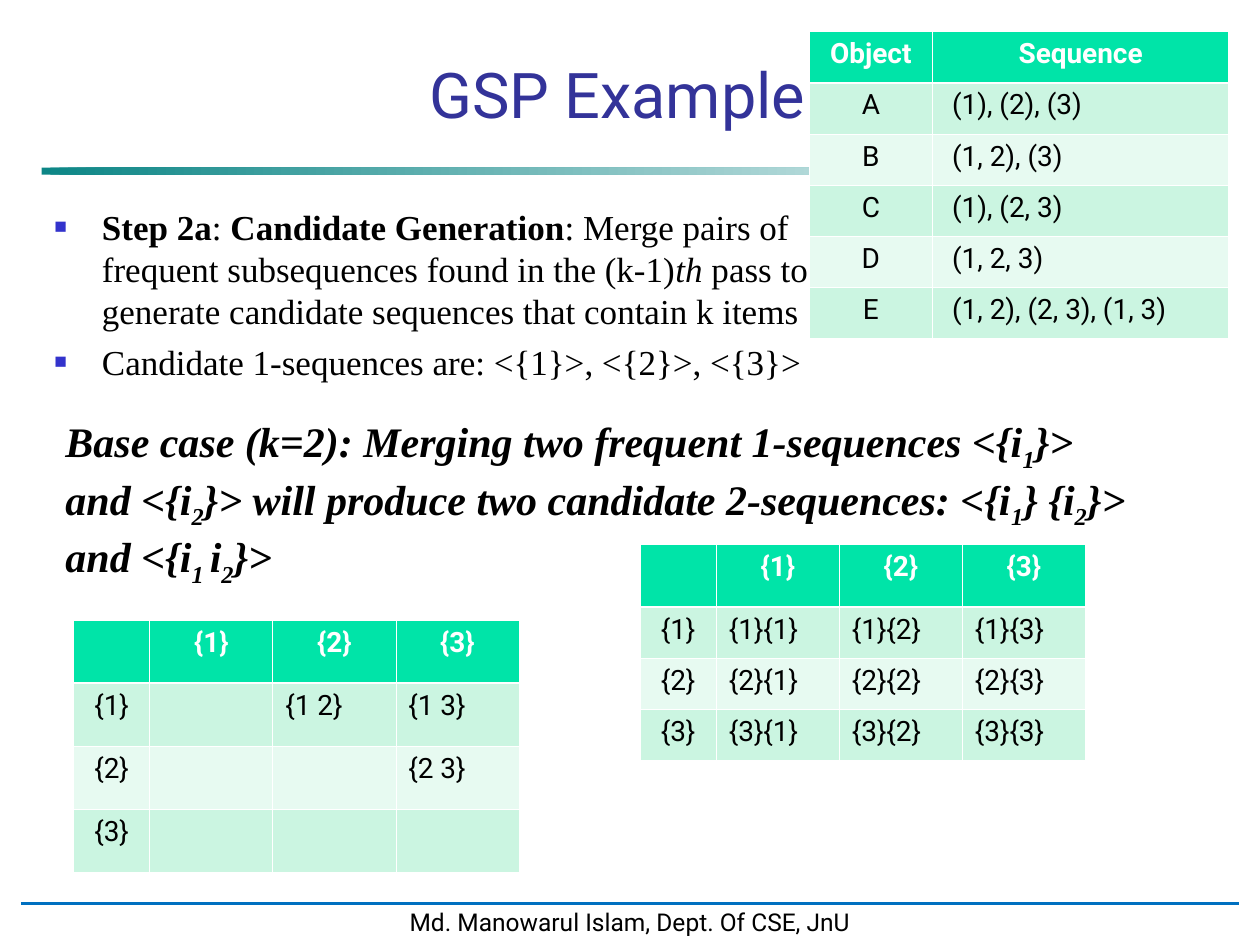
import lxml.etree
import pptx
import pptx.dml.color
import pptx.enum.shapes
import pptx.enum.text
import pptx.oxml
import pptx.oxml.ns
import pptx.util

Cm = pptx.util.Cm
Pt = pptx.util.Pt
RGBColor = pptx.dml.color.RGBColor
ALIGN = pptx.enum.text.PP_ALIGN
qn = pptx.oxml.ns.qn

SANS = "Roboto"
SERIF = "Times New Roman"
BLACK = RGBColor(0, 0, 0)
WHITE = RGBColor(255, 255, 255)
NAVY = RGBColor(0x33, 0x33, 0x99)
TEAL = RGBColor(0, 0x80, 0x80)
BLUE = RGBColor(0, 0x70, 0xC0)
BULLET = RGBColor(0x33, 0x33, 0xCC)
HEADER = RGBColor(0, 0xE4, 0xA8)
BANDS = [RGBColor(0xE7, 0xFA, 0xF1), RGBColor(0xCB, 0xF5, 0xE1)]


def add_run(para, text, size, font, color, bold=False, italic=False):
    span = para.add_run()
    span.text = text
    span.font.size = Pt(size)
    span.font.name = font
    span.font.color.rgb = color
    span.font.bold = bold
    span.font.italic = italic
    return span


def add_grid(page, left, top, widths, heights, rows, centred, indent=0):
    """Banded table: header row and first column centred, white borders."""
    table = page.shapes.add_table(
        len(rows), len(widths), Cm(left), Cm(top), Cm(sum(widths)), Cm(sum(heights))
    ).table
    for column, width in zip(table.columns, widths):
        column.width = Cm(width)
    for r, row in enumerate(rows):
        table.rows[r].height = Cm(heights[r])
        for c, text in enumerate(row):
            cell = table.cell(r, c)
            cell.fill.solid()
            cell.fill.fore_color.rgb = BANDS[r % 2] if r else HEADER
            # Borders: the edge under the header is thicker
            thick = {"lnB": r == 0, "lnT": r == 1}
            for place, side in enumerate(("lnL", "lnR", "lnT", "lnB")):
                line = lxml.etree.Element(qn("a:" + side))
                line.set("w", str(Pt(1.47 if thick.get(side) else 0.45)))
                fill = lxml.etree.SubElement(line, qn("a:solidFill"))
                lxml.etree.SubElement(fill, qn("a:srgbClr")).set("val", str(WHITE))
                cell._tc.get_or_add_tcPr().insert(place, line)
            para = cell.text_frame.paragraphs[0]
            if r == 0 or c in centred:
                para.alignment = ALIGN.CENTER
            elif indent:
                para._p.get_or_add_pPr().set("marL", str(Cm(indent)))
            if text:
                add_run(para, text, 16, SANS, BLACK if r else WHITE, bold=r == 0)


deck = pptx.Presentation()
deck.slide_width = Cm(25.4)
deck.slide_height = Cm(19.05)
page = deck.slides.add_slide(deck.slide_layouts[1])

# Title
title = page.shapes.title
title.left, title.top, title.width, title.height = Cm(1.27), Cm(1.07), Cm(22.07), Cm(1.7)
title.text_frame.auto_size = pptx.enum.text.MSO_AUTO_SIZE.NONE
title.text_frame.vertical_anchor = pptx.enum.text.MSO_ANCHOR.BOTTOM
para = title.text_frame.paragraphs[0]
para.alignment = ALIGN.CENTER
para._p.get_or_add_pPr().set("marL", str(Cm(0.28)))
add_run(para, "GSP Example", 36, SANS, NAVY)

# Gradient rule under the title
rule = page.shapes.add_shape(
    pptx.enum.shapes.MSO_SHAPE.RECTANGLE, Cm(0.84), Cm(3.38), Cm(22.86), Cm(0.14)
)
rule.shadow.inherit = False
rule.line.fill.background()
rule.fill.gradient()
rule.fill.gradient_angle = 0
for stop, color, position in zip(rule.fill.gradient_stops, (TEAL, WHITE), (0, 1)):
    stop.color.rgb = color
    stop.position = position
for color in rule._element.spPr.iter(qn("a:srgbClr")):
    lxml.etree.SubElement(color, qn("a:alpha")).set("val", "95000")

# Footer
footer = page.shapes.add_shape(
    pptx.enum.shapes.MSO_SHAPE.RECTANGLE, Cm(0.42), Cm(18.16), Cm(24.56), Cm(0.84)
)
footer.shadow.inherit = False
footer.fill.solid()
footer.fill.fore_color.rgb = WHITE
footer.line.color.rgb = WHITE
footer.line.width = Pt(2)
footer.text_frame.word_wrap = False
para = footer.text_frame.paragraphs[0]
para.alignment = ALIGN.CENTER
add_run(para, "Md. Manowarul Islam, Dept. Of CSE, JnU", 14, SANS, BLACK)

line = page.shapes.add_connector(
    pptx.enum.shapes.MSO_CONNECTOR.STRAIGHT, Cm(0.42), Cm(18.21), Cm(24.98), Cm(18.21)
)
line.line.color.rgb = BLUE
line.line.width = Pt(1.75)
lxml.etree.SubElement(line._element.spPr, qn("a:effectLst"))

# Bulleted steps: each run is text, bold, italic
steps = [
    [
        ("Step 2a", True, False),
        (": ", False, False),
        ("Candidate Generation", True, False),
        (": Merge pairs of frequent subsequences found in the (k-1)", False, False),
        ("th", False, True),
        (" pass to generate candidate sequences that contain k items", False, False),
    ],
    [("Candidate 1-sequences are: <{1}>, <{2}>, <{3}>", False, False)],
]
body = page.placeholders[1]
body.left, body.top, body.width, body.height = Cm(0.84), Cm(4.02), Cm(15.88), Cm(5.5)
frame = body.text_frame
frame.auto_size = pptx.enum.text.MSO_AUTO_SIZE.NONE
for number, runs in enumerate(steps):
    para = frame.add_paragraph() if number else frame.paragraphs[0]
    para.space_before = Pt(5 if number else 0)
    props = para._p.get_or_add_pPr()
    props.set("marL", str(Cm(0.96)))
    props.set("indent", str(Cm(-0.96)))
    bullet_color = lxml.etree.SubElement(props, qn("a:buClr"))
    lxml.etree.SubElement(bullet_color, qn("a:srgbClr")).set("val", str(BULLET))
    lxml.etree.SubElement(props, qn("a:buSzPct")).set("val", "60000")
    lxml.etree.SubElement(props, qn("a:buFont")).set("typeface", SERIF)
    lxml.etree.SubElement(props, qn("a:buChar")).set("char", "■")
    for text, bold, italic in runs:
        add_run(para, text, 20, SERIF, BLACK, bold, italic)

# Objects and their sequences
add_grid(
    page, 16.31, 0.64, [2.49, 5.97], [1.03] * 6,
    [
        ["Object", "Sequence"],
        ["A", "(1), (2), (3)"],
        ["B", "(1, 2), (3)"],
        ["C", "(1), (2, 3)"],
        ["D", "(1, 2, 3)"],
        ["E", "(1, 2), (2, 3), (1, 3)"],
    ],
    centred=[0], indent=0.14,
)

# Base case: every second run is a subscript
base_case = [
    "Base case (k=2): Merging two frequent 1-sequences <{i", "1",
    "}> and <{i", "2",
    "}> will produce two candidate 2-sequences: <{i", "1",
    "} {i", "2",
    "}> and <{i", "1 ",
    "i", "2",
    "}>",
]
box = page.shapes.add_textbox(Cm(1.07), Cm(8.26), Cm(22.43), Cm(3.73))
box.text_frame.word_wrap = True
box.text_frame.margin_right = Cm(0.58)
para = box.text_frame.paragraphs[0]
for number, text in enumerate(base_case):
    span = add_run(para, text, 24, SERIF, BLACK, bold=True, italic=True)
    if number % 2:
        span.font._element.set("baseline", "-25000")

# Candidate 2-sequences: ordered pairs, then items in one element
items = [1, 2, 3]
header = [""] + [f"{{{item}}}" for item in items]
ordered = [[f"{{{a}}}"] + [f"{{{a}}}{{{b}}}" for b in items] for a in items]
joint = [[f"{{{a}}}"] + [f"{{{a} {b}}}" if a < b else "" for b in items] for a in items]
widths = [1.54] + [2.48] * 3
add_grid(page, 12.9, 10.97, widths, [1.27] + [1.03] * 3, [header] + ordered, centred=[0])
add_grid(page, 1.48, 12.5, widths, [1.27] * 4, [header] + joint, centred=[0])

deck.save("out.pptx")
